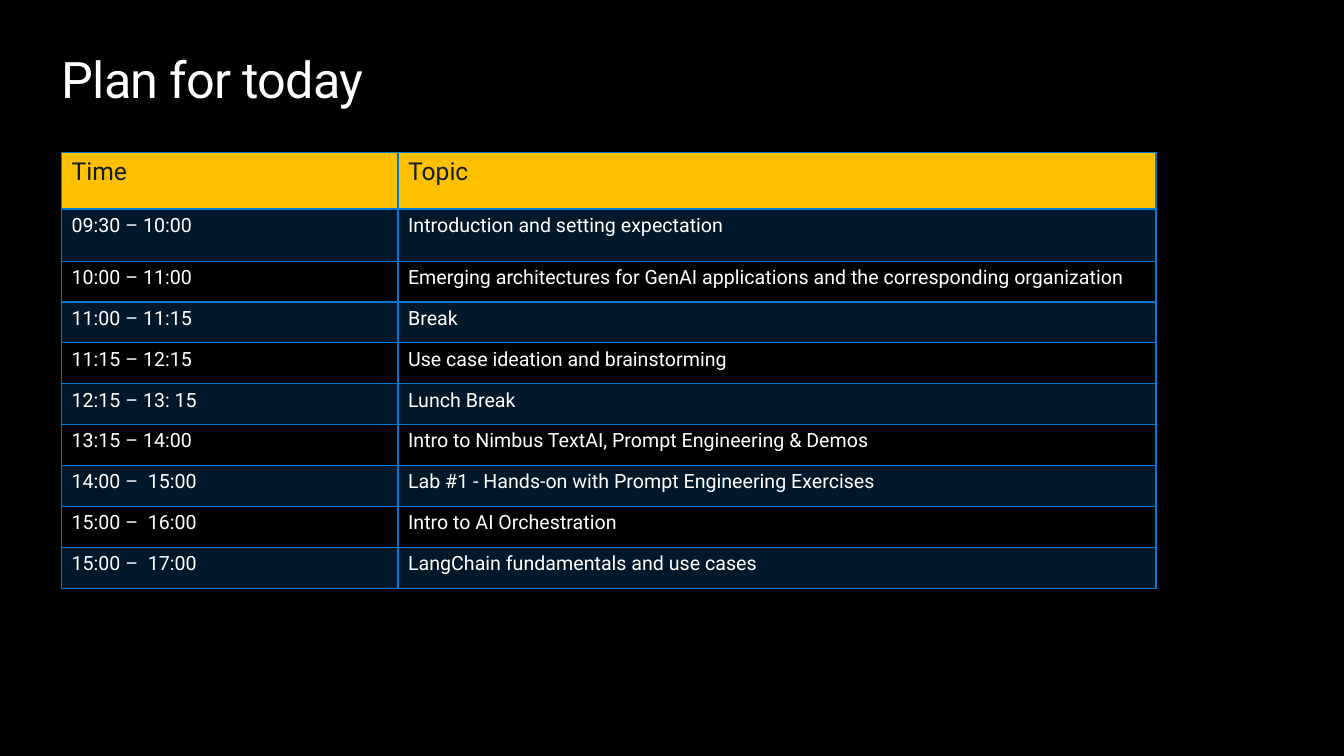
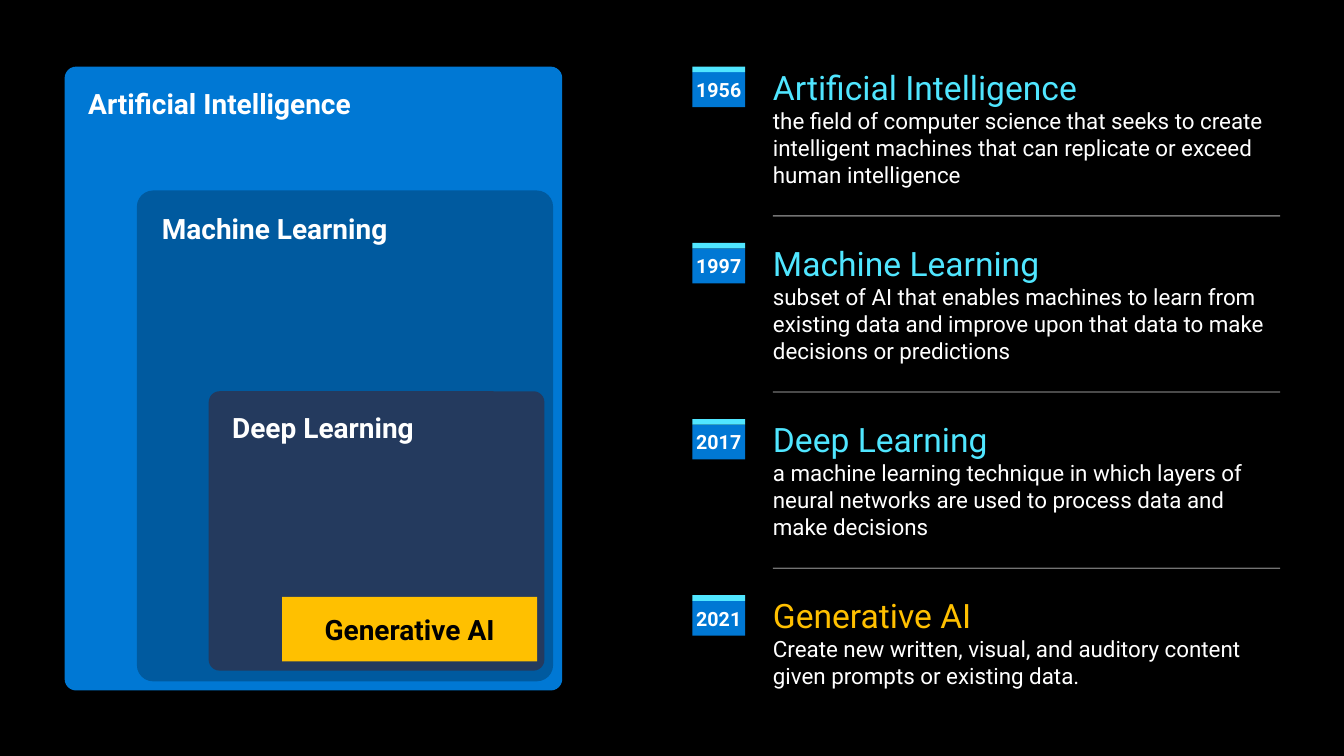
"""Build a workshop agenda slide and a slide on the layers of artificial intelligence."""
from lxml.etree import SubElement
from pptx import Presentation
from pptx.dml.color import RGBColor as RGB
from pptx.enum.shapes import MSO_CONNECTOR as LINE, MSO_SHAPE as SHAPE
from pptx.enum.text import MSO_ANCHOR as ANCHOR, MSO_AUTO_SIZE as AUTO, PP_ALIGN as ALIGN
from pptx.oxml.ns import qn
from pptx.util import Cm, Pt

COLORS = {
    "black": "000000", "white": "FFFFFF", "ink": "121D2F", "blue": "0078D4",
    "mid_blue": "005A9F", "navy": "243A5E", "cyan": "50E6FF", "gold": "FFC000",
    "rule": "E6E6E6",
}

TITLE = {"size": Pt(36)}
TABLE_HEAD = {"size": Pt(17.6), "bold": False}
TABLE_BODY = {"size": Pt(14), "bold": False}
LAYER = {"size": Pt(20), "bold": True}
YEAR = {"size": Pt(14), "bold": True}
HEADING = {"size": Pt(24)}
DETAIL = {"size": Pt(16)}

NO_MARGINS = dict.fromkeys(("margin_left", "margin_top", "margin_right", "margin_bottom"), 0)
LAYER_MARGINS = {"margin_left": Cm(0.51), "margin_right": Cm(0.51),
                 "margin_top": Cm(0.41), "margin_bottom": Cm(0.41)}

AGENDA = [
    ("Time", "Topic"),
    ("09:30 – 10:00", "Introduction and setting expectation"),
    ("10:00 – 11:00",
     "Emerging architectures for GenAI applications and the corresponding organization"),
    ("11:00 – 11:15", "Break"),
    ("11:15 – 12:15", "Use case ideation and brainstorming"),
    ("12:15 – 13: 15", "Lunch Break"),
    ("13:15 – 14:00", "Intro to Nimbus TextAI, Prompt Engineering & Demos"),
    ("14:00 –  15:00", "Lab #1 - Hands-on with Prompt Engineering Exercises"),
    ("15:00 –  16:00", "Intro to AI Orchestration"),
    ("15:00 –  17:00", "LangChain fundamentals and use cases"),
]
COLUMN_WIDTHS = (8.48, 19.1)
ROW_HEIGHTS = [1.42, 1.32] + [1.03] * 8

LAYERS = [
    ("Artificial Intelligence", (1.63, 1.68, 12.54, 15.72), "blue", 0.023),
    ("Machine Learning", (3.45, 4.8, 10.49, 12.37), "mid_blue", 0.039),
    ("Deep Learning", (5.26, 9.86, 8.46, 7.04), "navy", 0.039),
]

MILESTONES = [
    ("1956", "Artificial Intelligence", "cyan",
     "the field of computer science that seeks to create intelligent machines "
     "that can replicate or exceed human intelligence"),
    ("1997", "Machine Learning", "cyan",
     "subset of AI that enables machines to learn from existing data and improve "
     "upon that data to make decisions or predictions"),
    ("2017", "Deep Learning", "cyan",
     "a machine learning technique in which layers of neural networks are used "
     "to process data and make decisions"),
    ("2021", "Generative AI", "gold",
     "Create new written, visual, and auditory content given prompts or existing data."),
]
TIMELINE_TOP, TIMELINE_STEP = 1.68, 4.44
BADGE_LEFT, BADGE_WIDTH, CAP_HEIGHT, BADGE_HEIGHT = 17.45, 1.33, 0.14, 0.88
TEXT_LEFT, TEXT_WIDTH, RULE_OFFSET = 19.48, 12.78, 3.76


def rgb(name):
    return RGB.from_string(COLORS[name])


def apply(obj, fmt):
    for name, value in fmt.items():
        setattr(obj, name, value)


def set_alpha(parent, percent):
    clr = parent.find(qn("a:solidFill")).find(qn("a:srgbClr"))
    SubElement(clr, qn("a:alpha"), val=str(percent * 1000))


def add_run(p, text, font, color):
    r = p.add_run()
    r.text = text
    apply(r.font, {"name": "Roboto", **font})
    r.font.color.rgb = rgb(color)
    return r


def add_slide(prs):
    s = prs.slides.add_slide(prs.slide_layouts[6])
    s.background.fill.solid()
    s.background.fill.fore_color.rgb = rgb("black")
    return s


def add_text_box(s, box):
    tf = s.shapes.add_textbox(*map(Cm, box)).text_frame
    apply(tf, {**NO_MARGINS, "word_wrap": True, "auto_size": AUTO.SHAPE_TO_FIT_TEXT})
    return tf


def add_title(s, text):
    tf = add_text_box(s, (1.55, 1.22, 30.61, 1.55))
    r = add_run(tf.paragraphs[0], text, TITLE, "white")
    r.font._element.set("spc", "-50")


def add_block(shapes, kind, box, fill):
    sp = shapes.add_shape(kind, *map(Cm, box))
    sp.shadow.inherit = False
    sp.fill.solid()
    sp.fill.fore_color.rgb = rgb(fill)
    sp.line.fill.background()
    return sp


def label(sp, text, font, color, margins, anchor=ANCHOR.MIDDLE, align=ALIGN.CENTER):
    tf = sp.text_frame
    apply(tf, {**margins, "word_wrap": True, "vertical_anchor": anchor})
    p = tf.paragraphs[0]
    p.alignment = align
    add_run(p, text, font, color)


def add_layer(s, text, box, fill, radius):
    sp = add_block(s.shapes, SHAPE.ROUNDED_RECTANGLE, box, fill)
    sp.adjustments[0] = radius
    label(sp, text, LAYER, "white", LAYER_MARGINS, ANCHOR.TOP, ALIGN.LEFT)


def add_badge(s, top, year):
    shapes = s.shapes.add_group_shape().shapes
    body = (BADGE_LEFT, top + CAP_HEIGHT, BADGE_WIDTH, BADGE_HEIGHT)
    label(add_block(shapes, SHAPE.RECTANGLE, body, "blue"), year, YEAR, "white", NO_MARGINS)
    add_block(shapes, SHAPE.RECTANGLE, (BADGE_LEFT, top, BADGE_WIDTH, CAP_HEIGHT), "cyan")


def add_rule(s, y):
    ends = (TEXT_LEFT, y, TEXT_LEFT + TEXT_WIDTH, y)
    cxn = s.shapes.add_connector(LINE.STRAIGHT, *map(Cm, ends))
    cxn.line.width = Pt(1)
    cxn.line.color.rgb = rgb("rule")
    set_alpha(cxn.line._get_or_add_ln(), 50)
    SubElement(cxn._element.spPr, qn("a:effectLst"))


def add_milestone(s, top, year, heading, color, detail):
    add_badge(s, top, year)
    tf = add_text_box(s, (TEXT_LEFT, top, TEXT_WIDTH, 3.07))
    add_run(tf.paragraphs[0], heading, HEADING, color)
    p = tf.add_paragraph()
    p.space_after = Pt(6)
    add_run(p, detail, DETAIL, "white")


def add_borders(cell, widths):
    tc_pr = cell._tc.get_or_add_tcPr()
    for side, width in zip("LRTB", widths):
        ln = SubElement(tc_pr, qn(f"a:ln{side}"), w=str(Pt(width)))
        fill = SubElement(ln, qn("a:solidFill"))
        SubElement(fill, qn("a:srgbClr"), val=COLORS["blue"])


def fill_cell(cell, row):
    if row and row % 2 == 0:
        cell.fill.background()
        return
    cell.fill.solid()
    cell.fill.fore_color.rgb = rgb("blue" if row else "gold")
    if row:
        set_alpha(cell._tc.tcPr, 20)


def add_agenda(s, left, top):
    size = (sum(COLUMN_WIDTHS), sum(ROW_HEIGHTS))
    frame = s.shapes.add_table(len(AGENDA), len(COLUMN_WIDTHS), *map(Cm, (left, top, *size)))
    table = frame.table
    apply(table, {"first_row": False, "horz_banding": False})
    for column, width in zip(table.columns, COLUMN_WIDTHS):
        column.width = Cm(width)
    for i, (row, height, texts) in enumerate(zip(table.rows, ROW_HEIGHTS, AGENDA)):
        row.height = Cm(height)
        font, color = (TABLE_BODY, "white") if i else (TABLE_HEAD, "ink")
        for cell, text in zip(row.cells, texts):
            add_borders(cell, (1, 1, 2 if i == 1 else 1, 2 if i == 0 else 1))
            fill_cell(cell, i)
            add_run(cell.text_frame.paragraphs[0], text, font, color)


def main():
    prs = Presentation()
    apply(prs, {"slide_width": Cm(33.87), "slide_height": Cm(19.05)})

    s = add_slide(prs)
    add_title(s, "Plan for today")
    add_agenda(s, 1.55, 3.84)

    s = add_slide(prs)
    for layer in LAYERS:
        add_layer(s, *layer)
    sp = add_block(s.shapes, SHAPE.RECTANGLE, (7.11, 15.04, 6.43, 1.63), "gold")
    label(sp, "Generative AI", LAYER, "black", LAYER_MARGINS)
    for i, milestone in enumerate(MILESTONES):
        top = TIMELINE_TOP + i * TIMELINE_STEP
        add_milestone(s, top, *milestone)
        if i < len(MILESTONES) - 1:
            add_rule(s, top + RULE_OFFSET)

    prs.save("out.pptx")


if __name__ == "__main__":
    main()
